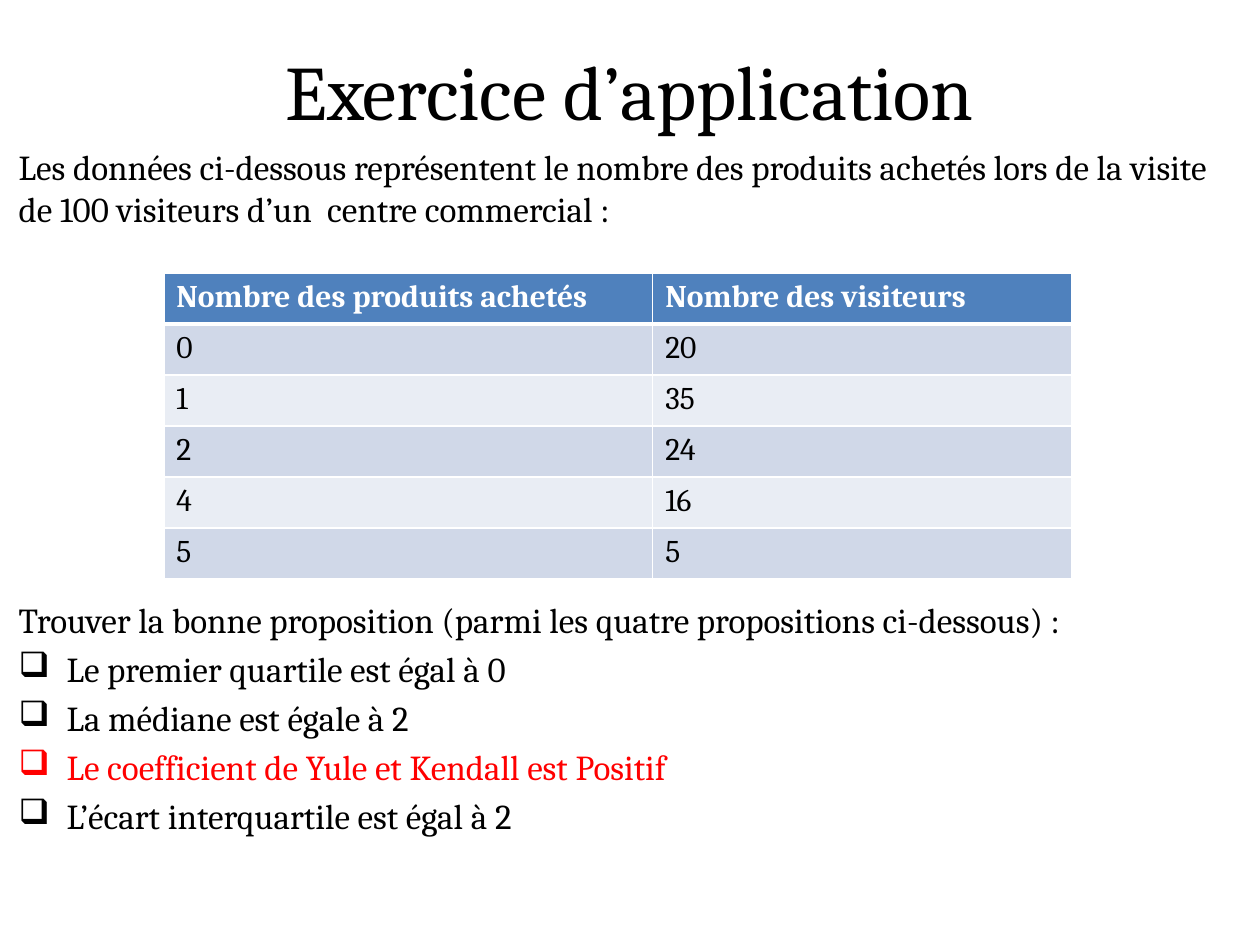
"""Build the quartile exercise slide: title, statement, table and propositions."""
import lxml.etree
import pptx
import pptx.dml.color
import pptx.enum.text
import pptx.oxml.ns
import pptx.util

WIDTH, HEIGHT = 10, 7.5
FONT = "Cambria"
BLACK, WHITE, RED, BLUE = "000000", "FFFFFF", "FF0000", "4F81BD"
BANDS = ("D0D8E8", "E9EDF4")
ROWS = [
    ("Nombre des produits achetés", "Nombre des visiteurs"),
    ("0", "20"),
    ("1", "35"),
    ("2", "24"),
    ("4", "16"),
    ("5", "5"),
]
STATEMENT = ("Les données ci-dessous représentent le nombre des produits achetés "
             "lors de la visite de 100 visiteurs d’un  centre commercial :")
QUESTION = "Trouver la bonne proposition (parmi les quatre propositions ci-dessous) :"
PROPOSITIONS = [
    ("Le premier quartile est égal à 0", BLACK),
    ("La médiane est égale à 2", BLACK),
    ("Le coefficient de Yule et Kendall est Positif", RED),
    ("L’écart interquartile est égal à 2", BLACK),
]


def rgb(value):
    """Return the colour for a hex string."""
    return pptx.dml.color.RGBColor.from_string(value)


def place(left, top, width, height):
    """Turn shares of the slide's size into lengths."""
    shares = (left * WIDTH, top * HEIGHT, width * WIDTH, height * HEIGHT)
    return [pptx.util.Inches(share) for share in shares]


def add_xml(parent, tag, **attributes):
    """Append a drawing element and return it."""
    return lxml.etree.SubElement(parent, pptx.oxml.ns.qn(tag), attributes)


def add_run(p, text, size, color=BLACK, bold=False):
    """Add one formatted run to a paragraph."""
    r = p.add_run()
    r.text = text
    r.font.name = FONT
    r.font.size = pptx.util.Pt(size)
    r.font.bold = bold
    r.font.color.rgb = rgb(color)


def add_box(s, box):
    """Add a wrapping text box and return its text frame."""
    tf = s.shapes.add_textbox(*place(*box)).text_frame
    tf.word_wrap = True
    return tf


def add_title(s, text, box):
    """Add the centred title."""
    tf = add_box(s, box)
    tf.vertical_anchor = pptx.enum.text.MSO_ANCHOR.MIDDLE
    p = tf.paragraphs[0]
    p.alignment = pptx.enum.text.PP_ALIGN.CENTER
    add_run(p, text, 44)


def add_statement(s, text, box):
    """Add a text box with one paragraph and return its text frame."""
    tf = add_box(s, box)
    add_run(tf.paragraphs[0], text, 20)
    return tf


def add_proposition(tf, text, color):
    """Add one paragraph with a check-box bullet."""
    p = tf.add_paragraph()
    p.space_before = pptx.util.Pt(4)
    indent = pptx.util.Inches(0.38)
    properties = p._p.get_or_add_pPr()
    properties.set("marL", str(indent))
    properties.set("indent", str(-indent))
    add_xml(properties, "a:buChar", char="❑")
    add_run(p, text, 20, color)


def set_borders(cell, top, bottom):
    """Draw the white borders of a cell, with widths in points."""
    properties = cell._tc.get_or_add_tcPr()
    for side, width in (("L", 1), ("R", 1), ("T", top), ("B", bottom)):
        line = add_xml(properties, f"a:ln{side}", w=str(pptx.util.Pt(width)))
        add_xml(add_xml(line, "a:solidFill"), "a:srgbClr", val=WHITE)


def add_table(s, rows, box, column_shares):
    """Add the table with a blue header and banded rows."""
    table = s.shapes.add_table(len(rows), len(rows[0]), *place(*box)).table
    for column, share in zip(table.columns, column_shares):
        column.width = pptx.util.Inches(share * WIDTH)
    for i, row in enumerate(rows):
        header = i == 0
        for j, text in enumerate(row):
            cell = table.cell(i, j)
            set_borders(cell, 3 if i == 1 else 1, 3 if header else 1)
            cell.fill.solid()
            cell.fill.fore_color.rgb = rgb(BLUE if header else BANDS[(i - 1) % 2])
            p = cell.text_frame.paragraphs[0]
            add_run(p, text, 18, WHITE if header else BLACK, header)


def main():
    """Build and save the slide."""
    prs = pptx.Presentation()
    prs.slide_width = pptx.util.Inches(WIDTH)
    prs.slide_height = pptx.util.Inches(HEIGHT)
    s = prs.slides.add_slide(prs.slide_layouts[6])
    add_title(s, "Exercice d’application", (0.05, 0.01, 0.9, 0.17))
    add_statement(s, STATEMENT, (0.005, 0.147, 0.993, 0.1))
    add_table(s, ROWS, (0.13, 0.289, 0.721, 0.324), (0.388, 0.333))
    tf = add_statement(s, QUESTION, (0.005, 0.627, 0.993, 0.36))
    for text, color in PROPOSITIONS:
        add_proposition(tf, text, color)
    prs.save("out.pptx")


if __name__ == "__main__":
    main()
